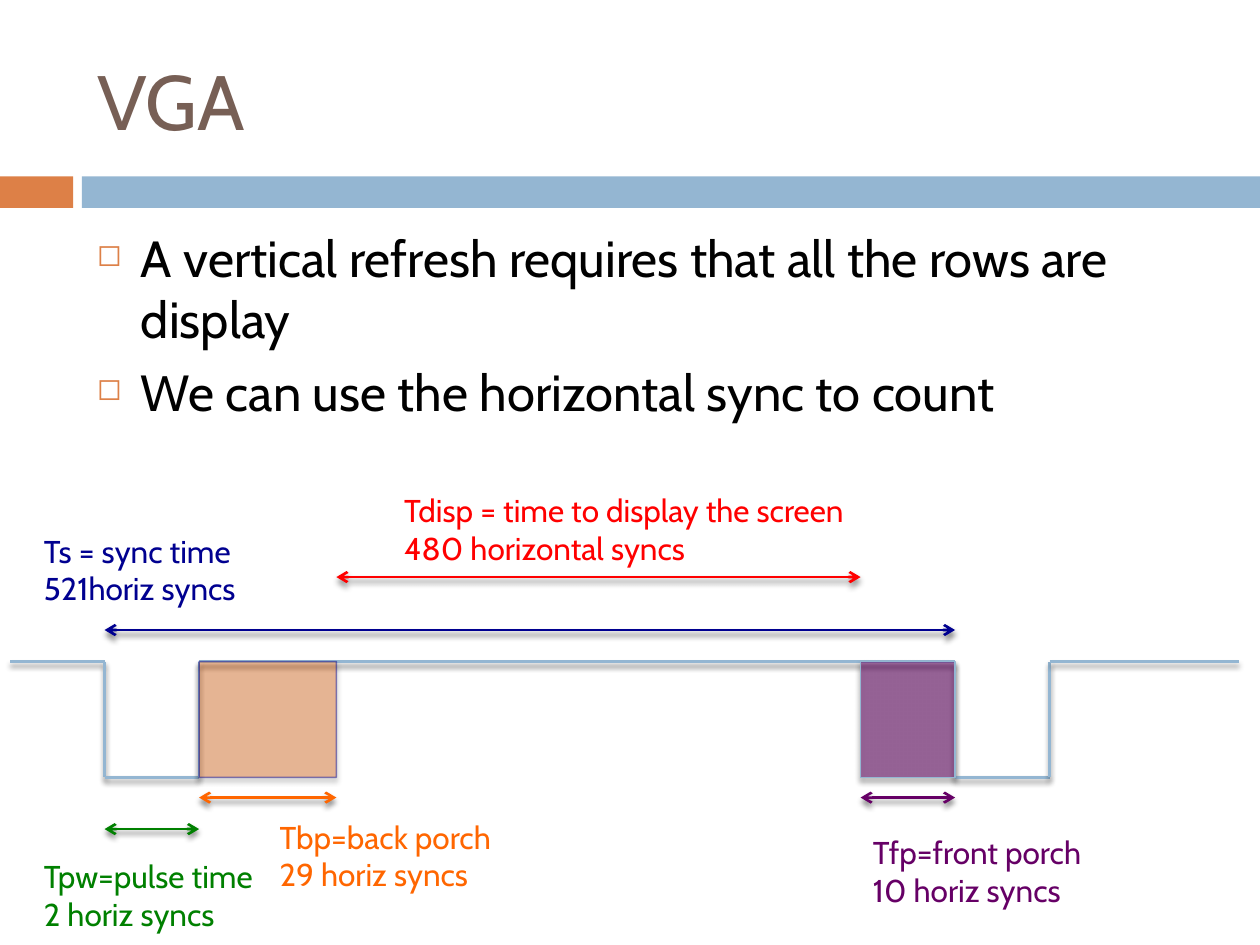
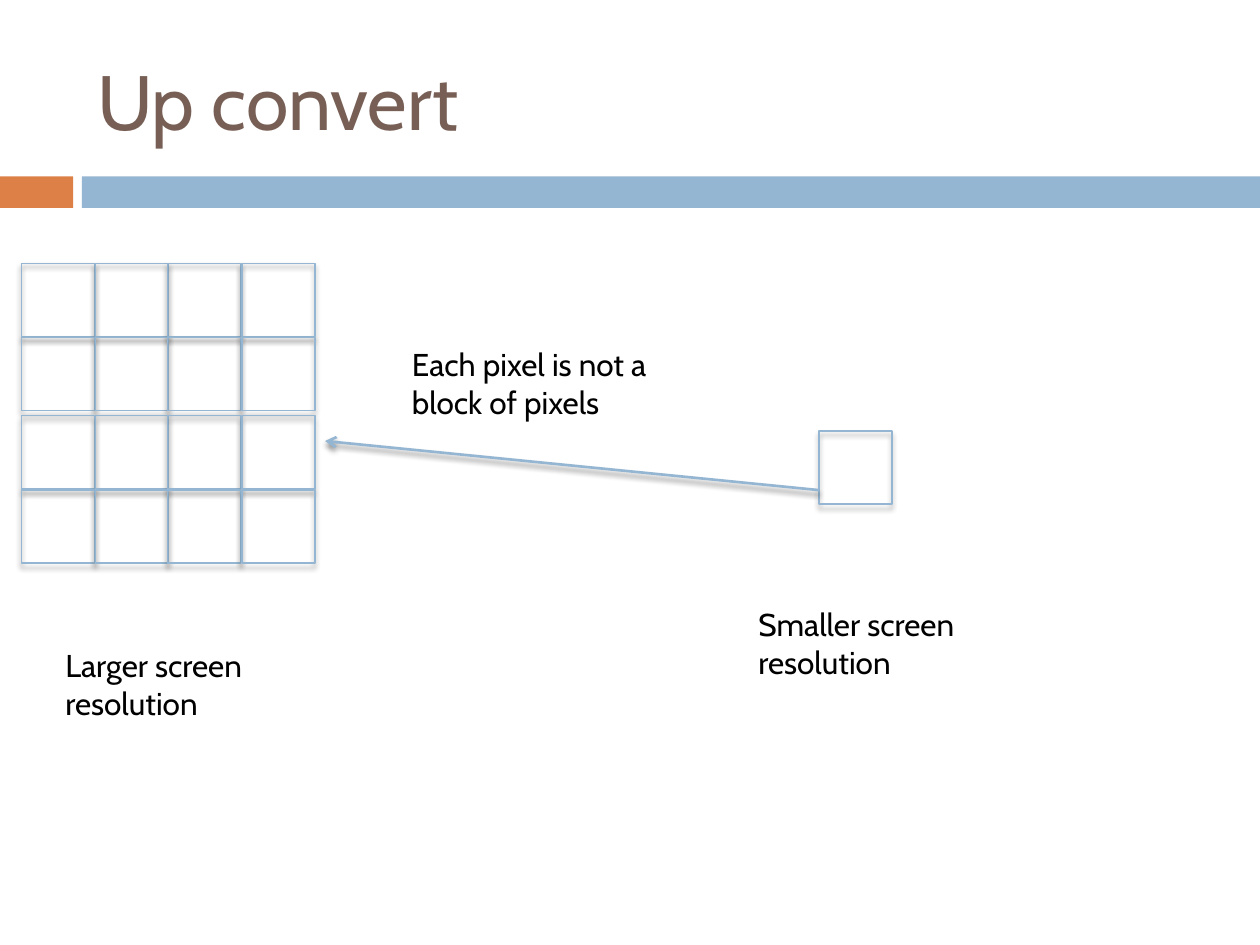
from itertools import pairwise, product

from lxml import etree
from pptx import Presentation
from pptx.dml.color import RGBColor
from pptx.enum.shapes import MSO_CONNECTOR, MSO_SHAPE
from pptx.enum.text import MSO_ANCHOR, PP_ALIGN
from pptx.oxml.ns import qn
from pptx.util import Inches, Pt

RECT = MSO_SHAPE.RECTANGLE
STRAIGHT = MSO_CONNECTOR.STRAIGHT
LEFT = PP_ALIGN.LEFT
TOP = MSO_ANCHOR.TOP
MIDDLE = MSO_ANCHOR.MIDDLE

FONT = "Cabin"
BLACK = RGBColor(0x00, 0x00, 0x00)
BROWN = RGBColor(0x77, 0x5F, 0x55)
ACCENT = RGBColor(0xDD, 0x80, 0x47)
SKY = RGBColor(0x94, 0xB6, 0xD2)
NAVY = RGBColor(0x00, 0x00, 0x90)
RED = RGBColor(0xFF, 0x00, 0x00)
GREEN = RGBColor(0x00, 0x80, 0x00)
ORANGE = RGBColor(0xFF, 0x66, 0x00)
PURPLE = RGBColor(0x66, 0x00, 0x66)

BANDS = [((0, 1.4, 0.58, 0.25), ACCENT), ((0.65, 1.4, 9.35, 0.25), SKY)]

REFRESH_POINTS = [
    "A vertical refresh requires that all the rows are display",
    "We can use the horizontal sync to count",
]
HIGH, LOW = 5.25, 6.17
PULSE_START, PULSE_END, DISPLAY_START, DISPLAY_END, SYNC_END = 0.83, 1.58, 2.67, 6.83, 7.58
NEXT_PULSE_END = 8.33
WAVE = [
    (0.08, HIGH), (PULSE_START, HIGH), (PULSE_START, LOW), (PULSE_END, LOW),
    (PULSE_END, HIGH), (SYNC_END, HIGH), (SYNC_END, LOW), (NEXT_PULSE_END, LOW),
    (NEXT_PULSE_END, HIGH), (9.83, HIGH),
]
PORCHES = [
    (PULSE_END, DISPLAY_START, ORANGE, 32, NAVY, 46),
    (DISPLAY_END, SYNC_END, PURPLE, 50, SKY, 100),
]
TIMINGS = [
    (DISPLAY_START, DISPLAY_END, 4.58, RED, (3.11, 3.85, 3.9, 0.71),
     ["Tdisp = time to display the screen", "480 horizontal syncs"]),
    (PULSE_START, PULSE_END, 6.58, GREEN, (0.25, 6.75, 1.95, 0.71),
     ["Tpw=pulse time", "2 horiz syncs"]),
    (PULSE_END, DISPLAY_START, 6.33, ORANGE, (2.12, 6.44, 1.92, 0.71),
     ["Tbp=back porch", "29 horiz syncs"]),
    (DISPLAY_END, SYNC_END, 6.33, PURPLE, (6.83, 6.56, 2, 0.71),
     ["Tfp=front porch", "10 horiz syncs"]),
    (PULSE_START, SYNC_END, 5, NAVY, (0.25, 4.17, 2, 0.71),
     ["Ts = sync time", "521horiz syncs"]),
]

PIXEL = 0.58
PIXEL_COLUMNS = [0.17, 0.76, 1.33, 1.92]
PIXEL_ROWS = [2.09, 2.68, 3.3, 3.89]
SMALL_PIXEL = (6.5, 3.42)
CAPTIONS = [
    ((5.92, 4.75, 1.92, 0.71), "Smaller screen resolution"),
    ((0.42, 5.08, 1.92, 0.71), "Larger screen resolution"),
    ((3.17, 2.69, 2.25, 0.71), "Each pixel is not a block of pixels"),
]


def child(parent, tag, **attributes):
    node = etree.SubElement(parent, qn(tag))
    for key, value in attributes.items():
        node.set(key, str(value))
    return node


def set_alpha(fill_owner, percent):
    color = fill_owner.find(qn("a:solidFill"))[0]
    child(color, "a:alpha", val=percent * 1000)


def cast_shadow(effects):
    shadow = child(effects, "a:outerShdw", blurRad=Pt(3), dist=Pt(2.4),
                   dir=90 * 60000, rotWithShape=0)
    child(child(shadow, "a:srgbClr", val="000000"), "a:alpha", val=45000)


def add_bullet(paragraph):
    props = paragraph._p.get_or_add_pPr()
    props.set("marL", str(Inches(0.35)))
    props.set("indent", str(Inches(-0.35)))
    child(child(props, "a:buClr"), "a:srgbClr", val=str(ACCENT))
    child(props, "a:buSzPct", val=60000)
    child(props, "a:buChar", char="◻")


def write(frame, lines, size=18, color=BLACK, anchor=TOP, bulleted=False):
    frame.word_wrap = True
    frame.vertical_anchor = anchor
    for index, line in enumerate(lines):
        paragraph = frame.add_paragraph() if index else frame.paragraphs[0]
        paragraph.alignment = LEFT
        if bulleted:
            paragraph.space_before = Pt(7)
            add_bullet(paragraph)
        run = paragraph.add_run()
        run.text = line
        run.font.name = FONT
        run.font.size = Pt(size)
        run.font.color.rgb = color


def add_label(slide, box, lines, **text_format):
    label = slide.shapes.add_textbox(*map(Inches, box))
    write(label.text_frame, lines, **text_format)


def add_rect(slide, box, fill=None, fill_alpha=100, outline=None, outline_alpha=100):
    rect = slide.shapes.add_shape(RECT, *map(Inches, box))
    rect.shadow.inherit = False
    props = rect._element.spPr
    if fill is None:
        rect.fill.background()
    else:
        rect.fill.solid()
        rect.fill.fore_color.rgb = fill
        set_alpha(props, fill_alpha)
    if outline is None:
        rect.line.fill.background()
    else:
        rect.line.color.rgb = outline
        rect.line.width = Pt(0.79)
        set_alpha(props.find(qn("a:ln")), outline_alpha)
        cast_shadow(props.find(qn("a:effectLst")))


def add_line(slide, start, end, color=SKY, arrows=()):
    line = slide.shapes.add_connector(STRAIGHT, *map(Inches, (*start, *end)))
    line.line.color.rgb = color
    line.line.width = Pt(1.5)
    props = line._element.spPr
    for arrow in arrows:
        child(props.find(qn("a:ln")), arrow, type="arrow")
    cast_shadow(child(props, "a:effectLst"))


def add_slide(deck, heading):
    slide = deck.slides.add_slide(deck.slide_layouts[5])
    for box, color in BANDS:
        add_rect(slide, box, fill=color)
    title = slide.shapes.title
    title.left, title.top, title.width, title.height = map(Inches, (0.67, 0.25, 8.92, 1.08))
    write(title.text_frame, [heading], size=44, color=BROWN, anchor=MIDDLE)
    return slide


def build_vga(deck):
    slide = add_slide(deck, "VGA")
    add_label(slide, (0.67, 1.75, 8.92, 4.92), REFRESH_POINTS, size=29, bulleted=True)
    for start, end in pairwise(WAVE):
        add_line(slide, start, end)
    for start, end, fill, fill_alpha, outline, outline_alpha in PORCHES:
        add_rect(slide, (start, HIGH, end - start, LOW - HIGH), fill=fill,
                 fill_alpha=fill_alpha, outline=outline, outline_alpha=outline_alpha)
    for start, end, level, color, box, lines in TIMINGS:
        add_line(slide, (start, level), (end, level), color=color,
                 arrows=("a:headEnd", "a:tailEnd"))
        add_label(slide, box, lines, color=color)


def build_up_convert(deck):
    slide = add_slide(deck, "Up convert")
    for top, left in [*product(PIXEL_ROWS, PIXEL_COLUMNS), SMALL_PIXEL[::-1]]:
        add_rect(slide, (left, top, PIXEL, PIXEL), outline=SKY)
    for box, caption in CAPTIONS:
        add_label(slide, box, [caption])
    add_line(slide, (SMALL_PIXEL[0], 3.89), (2.58, 3.5), arrows=("a:tailEnd",))


def main():
    deck = Presentation()
    deck.slide_width, deck.slide_height = Inches(10), Inches(7.5)
    build_vga(deck)
    build_up_convert(deck)
    deck.save("out.pptx")


if __name__ == "__main__":
    main()
